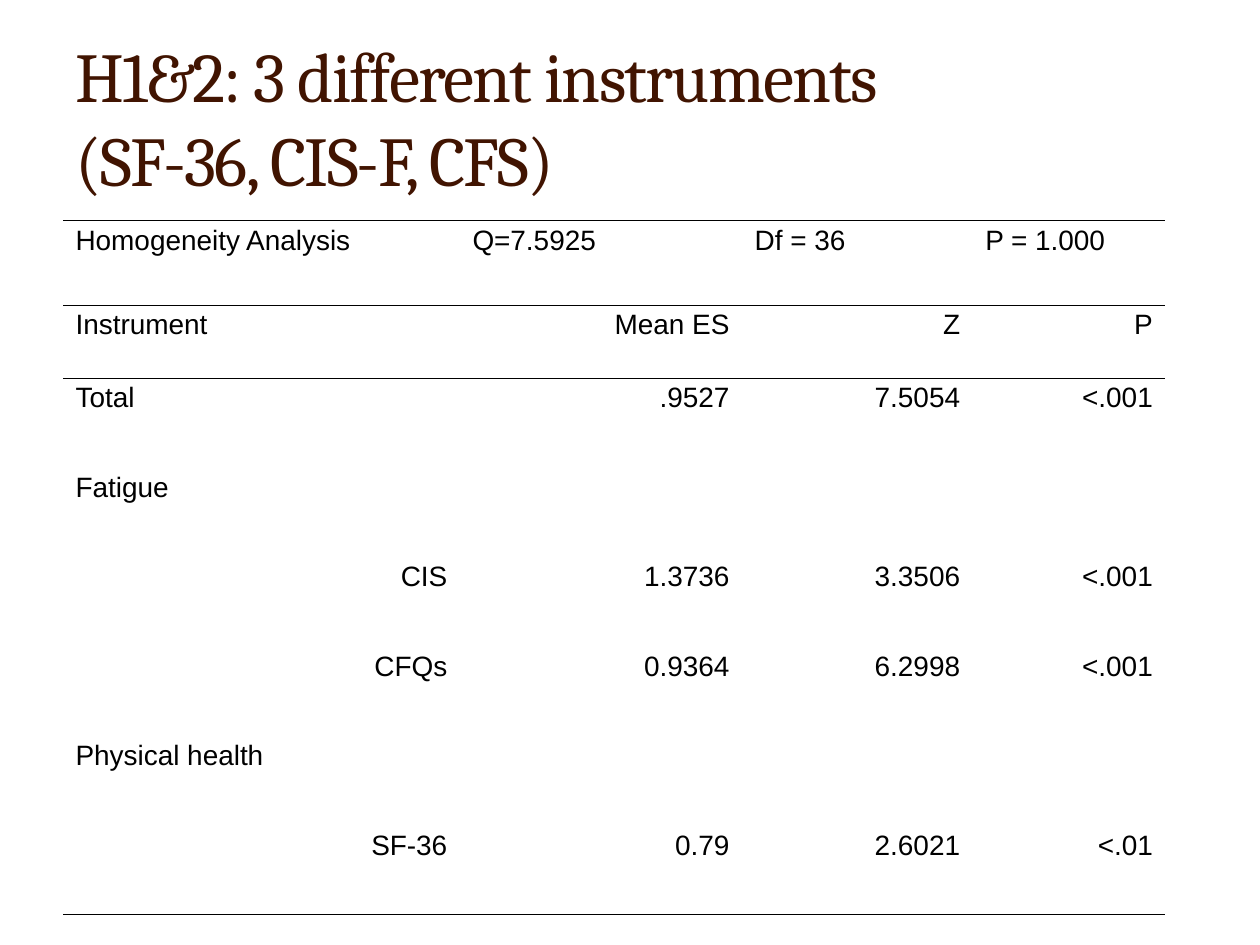
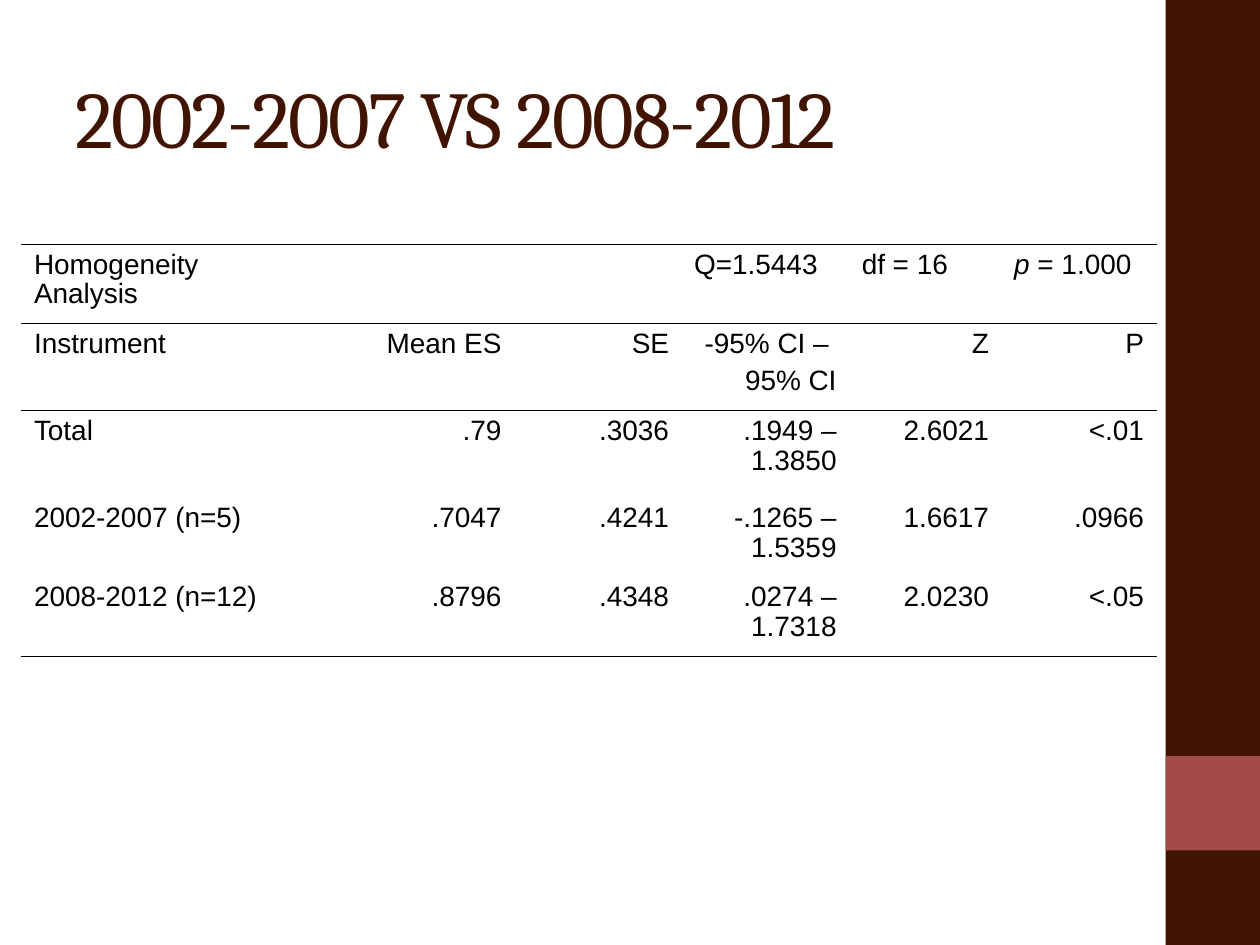
from lxml import etree
from pptx import Presentation
from pptx.dml.color import RGBColor
from pptx.enum.shapes import MSO_SHAPE
from pptx.enum.text import MSO_ANCHOR, PP_ALIGN
from pptx.oxml.ns import qn
from pptx.util import Inches, Pt

LEFT, RIGHT = PP_ALIGN.LEFT, PP_ALIGN.RIGHT
MIDDLE = MSO_ANCHOR.MIDDLE
RECTANGLE = MSO_SHAPE.RECTANGLE

BROWN = RGBColor(0x41, 0x14, 0x01)
RED = RGBColor(0xA2, 0x4A, 0x48)
BLACK = RGBColor(0, 0, 0)
TITLE_FONT, BODY_FONT = "Cambria", "Arial"
TITLE_ONLY = 5
RULE_WIDTH = Pt(0.45)

SIDE_BANDS = [(0, 7.5, BROWN), (6, 0.75, RED)]  # top, height, colour

PAGES = [
    {
        "title": "H1&2: 3 different instruments \v(SF-36, CIS-F, CFS)",
        "title_size": 40,
        "bands": [],
        "at": (0.5, 1.75),
        "columns": [3.15, 2.24, 1.83, 1.53],
        "heights": [0.67, 0.58] + [0.71] * 6,
        "indented": {"CIS", "CFQs", "SF-36"},
        "rows": [
            ["Homogeneity Analysis", "Q=7.5925", "Df = 36", "P = 1.000"],
            ["Instrument", "Mean ES", "Z", "P"],
            ["Total", ".9527", "7.5054", "<.001"],
            ["Fatigue", "", "", ""],
            ["CIS", "1.3736", "3.3506", "<.001"],
            ["CFQs", "0.9364", "6.2998", "<.001"],
            ["Physical health", "", "", ""],
            ["SF-36", "0.79", "2.6021", "<.01"],
        ],
    },
    {
        "title": "2002-2007 VS 2008-2012",
        "title_size": 46,
        "bands": SIDE_BANDS,
        "at": (0.17, 1.94),
        "columns": [2.29, 1.62, 1.33, 1.33, 1.21, 1.23],
        "heights": [0.63, 0.69, 0.69, 0.63, 0.63],
        "indented": set(),
        "rows": [
            ["Homogeneity Analysis", "", "", "Q=1.5443", "df = 16",
             [("p", True), (" = 1.000", False)]],
            ["Instrument", "Mean ES", "SE", "-95% CI – \n95% CI", "Z", "P"],
            ["Total", ".79", ".3036", ".1949 – 1.3850", "2.6021", "<.01"],
            ["2002-2007 (n=5)", ".7047", ".4241", "-.1265 – 1.5359", "1.6617", ".0966"],
            ["2008-2012 (n=12)", ".8796", ".4348", ".0274 – 1.7318", "2.0230", "<.05"],
        ],
    },
]


def add_band(page, top, height, colour):
    band = page.shapes.add_shape(
        RECTANGLE, Inches(9.25), Inches(top), Inches(0.75), Inches(height))
    band.shadow.inherit = False
    band.fill.solid()
    band.fill.fore_color.rgb = colour
    band.line.fill.background()


def set_title(page, text, size):
    title = page.shapes.title
    title.left, title.top = Inches(0.5), Inches(0.3)
    title.width, title.height = Inches(9), Inches(1.25)
    frame = title.text_frame
    frame.word_wrap = True
    frame.vertical_anchor = MIDDLE
    frame.text = text
    para = frame.paragraphs[0]
    para.alignment = LEFT
    para.font.name, para.font.size = TITLE_FONT, Pt(size)
    para.font.color.rgb = BROWN
    for span in para.runs:
        span.font._element.set("spc", "-100")


def set_borders(cell, ruled_sides):
    """Rule the named sides (T, B) in black and clear the others."""
    properties = cell._tc.get_or_add_tcPr()
    for side in "LRTB":
        line = etree.SubElement(properties, qn(f"a:ln{side}"))
        if side in ruled_sides:
            line.set("w", str(RULE_WIDTH))
            fill = etree.SubElement(line, qn("a:solidFill"))
            etree.SubElement(fill, qn("a:srgbClr"), val=str(BLACK))
        else:
            etree.SubElement(line, qn("a:noFill"))


def fill_cell(cell, content, alignment):
    frame = cell.text_frame
    if isinstance(content, str):
        frame.text = content
    else:
        for text, italic in content:
            span = frame.paragraphs[0].add_run()
            span.text, span.font.italic = text, italic
    for index, para in enumerate(frame.paragraphs):
        para.alignment = alignment
        para.line_spacing = 0.95
        para.space_before = Pt(4 if index else 0)
        para.font.name, para.font.size = BODY_FONT, Pt(16)
        para.font.color.rgb = BLACK


def add_results(page, content):
    columns, heights, rows = content["columns"], content["heights"], content["rows"]
    left, top = content["at"]
    table = page.shapes.add_table(
        len(rows), len(columns), Inches(left), Inches(top),
        Inches(sum(columns)), Inches(sum(heights))).table
    table.first_row = table.horz_banding = False
    for column, width in zip(table.columns, columns):
        column.width = Inches(width)
    last = len(rows) - 1
    for r, values in enumerate(rows):
        table.rows[r].height = Inches(heights[r])
        ruled_sides = ("T" if r <= 2 else "") + ("B" if r in (0, 1, last) else "")
        for c, value in enumerate(values):
            cell = table.cell(r, c)
            set_borders(cell, ruled_sides)
            cell.fill.background()
            is_label = c == 0 and value not in content["indented"]
            fill_cell(cell, value, LEFT if r == 0 or is_label else RIGHT)


def main():
    deck = Presentation()
    deck.slide_width, deck.slide_height = Inches(10), Inches(7.5)
    for content in PAGES:
        page = deck.slides.add_slide(deck.slide_layouts[TITLE_ONLY])
        for band in content["bands"]:
            add_band(page, *band)
        set_title(page, content["title"], content["title_size"])
        add_results(page, content)
    deck.save("out.pptx")


if __name__ == "__main__":
    main()
